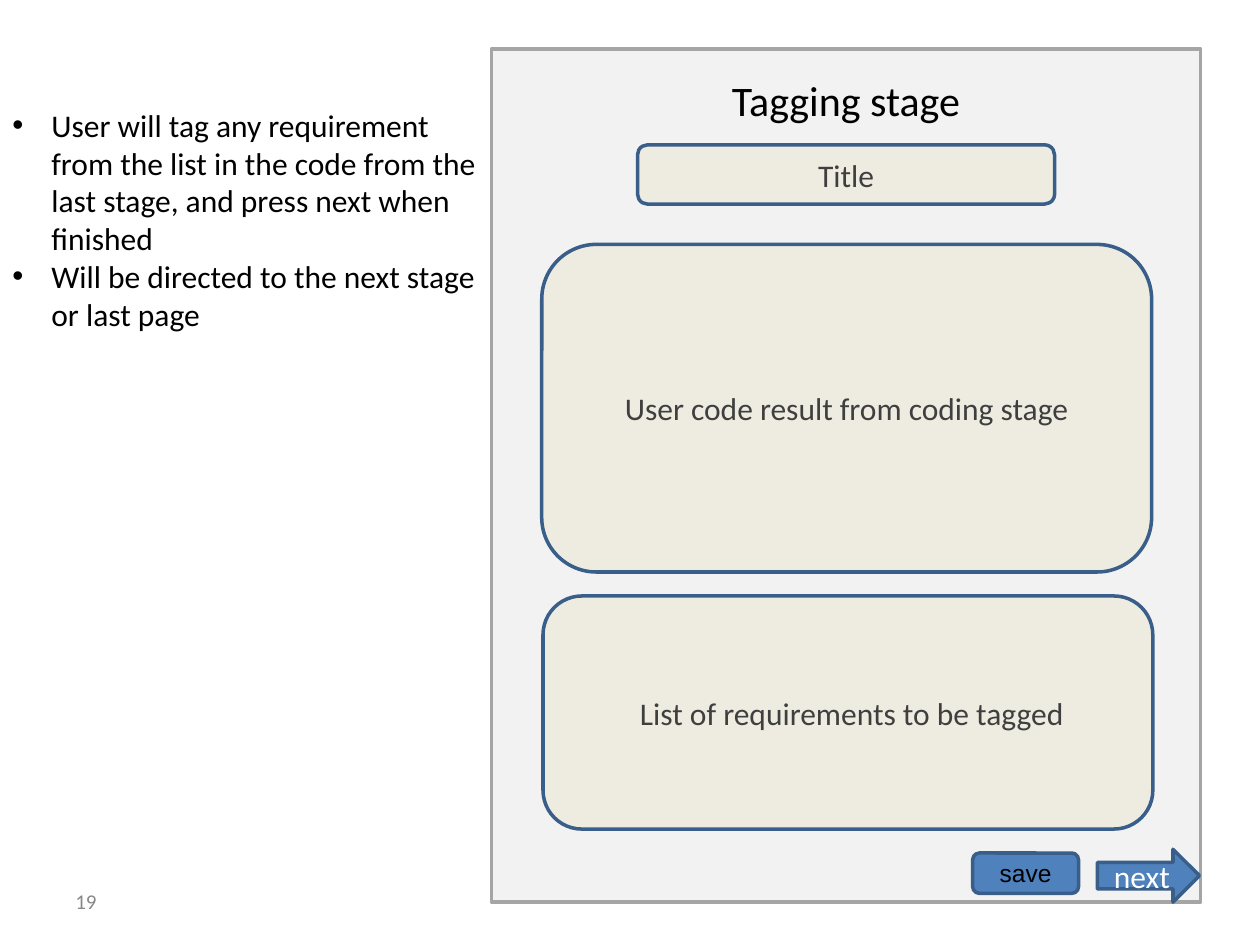
from pptx import Presentation
from pptx import util as u
from pptx.dml.color import RGBColor
from pptx.enum import shapes, text
from pptx.oxml import parse_xml
from pptx.oxml.ns import nsdecls

KIND = shapes.MSO_SHAPE
MID = text.PP_ALIGN.CENTER
LEFT = text.PP_ALIGN.LEFT


def tint(code):
    """Turn a hex string into a colour."""
    return RGBColor.from_string(code)


def write(shape, words, size, color, align=MID, font="Calibri", rtl=False):
    """Set and format the text of a shape, one paragraph per line."""
    frame = shape.text_frame
    frame.word_wrap = True
    frame.text = words
    for para in frame.paragraphs:
        para.alignment = align
        if rtl:
            para._p.get_or_add_pPr().set("rtl", "1")
        for run in para.runs:
            run.font.size = u.Pt(size)
            run.font.name = font
            run.font.color.rgb = tint(color)


def block(slide, kind, box, fill, line):
    """Draw a filled, outlined shape in the box."""
    shape = slide.shapes.add_shape(kind, *map(u.Inches, box))
    shape.shadow.inherit = False
    shape.fill.solid()
    shape.fill.fore_color.rgb = tint(fill)
    shape.line.color.rgb = tint(line)
    shape.line.width = u.Pt(2)
    shape.text_frame.vertical_anchor = text.MSO_ANCHOR.MIDDLE
    return shape


def label(slide, box, words, size, color, align=MID):
    """Place a text box in the box."""
    shape = slide.shapes.add_textbox(*map(u.Inches, box))
    write(shape, words, size, color, align)
    return shape


def notes(slide, box):
    """Place the bulleted description."""
    items = [
        "User will tag any requirement from the list in the code from the "
        "last stage, and press next when finished",
        "Will be directed to the next stage or last page",
    ]
    shape = label(slide, box, "\n".join(items), 18, "000000", LEFT)
    for para in shape.text_frame.paragraphs:
        props = para._p.get_or_add_pPr()
        props.set("marL", str(u.Inches(0.31)))
        props.set("indent", str(-u.Inches(0.31)))
        props.append(parse_xml(f'<a:buFont {nsdecls("a")} typeface="Arial"/>'))
        props.append(parse_xml(f'<a:buChar {nsdecls("a")} char="•"/>'))


def screen(slide, box):
    """Draw the page mock-up with its fields and buttons."""
    x, y, w, h = box
    block(slide, KIND.RECTANGLE, box, "F2F2F2", "A5A5A5")
    label(slide, (x, y + 0.15, w, 0.5), "Tagging stage", 24, "000000")
    fields = [
        ("Title", 1.16, 0.76, 3.31, 0.47),
        ("User code result from coding stage", 0.4, 1.55, 4.84, 2.6),
        ("List of requirements to be tagged ", 0.41, 4.34, 4.84, 1.85),
    ]
    for words, dx, dy, fw, fh in fields:
        field = block(slide, KIND.ROUNDED_RECTANGLE, (x + dx, y + dy, fw, fh),
                      "EEECE1", "395E89")
        write(field, words, 18, "3F3F3F", rtl=True)
    save = block(slide, KIND.ROUNDED_RECTANGLE,
                 (x + 3.82, y + 6.38, 0.84, 0.32), "4F81BD", "395E89")
    write(save, "save", 14, "000000", font="Arial")
    step = block(slide, KIND.RIGHT_ARROW,
                 (x + 4.81, y + 6.35, 0.81, 0.42), "4F81BD", "395E89")
    write(step, "next", 18, "FFFFFF", rtl=True)


def number(slide, box):
    """Place the page number."""
    shape = label(slide, box, "19", 12, "888888", LEFT)
    shape.text_frame.vertical_anchor = text.MSO_ANCHOR.MIDDLE


def main():
    """Build and save the slide."""
    deck = Presentation()
    deck.slide_width, deck.slide_height = u.Inches(10), u.Inches(7.5)
    slide = deck.slides.add_slide(deck.slide_layouts[6])
    screen(slide, (3.9, 0.39, 5.63, 6.77))
    notes(slide, (0, 0.79, 3.9, 1.92))
    number(slide, (0.5, 6.95, 2.33, 0.4))
    deck.save("out.pptx")


if __name__ == "__main__":
    main()
